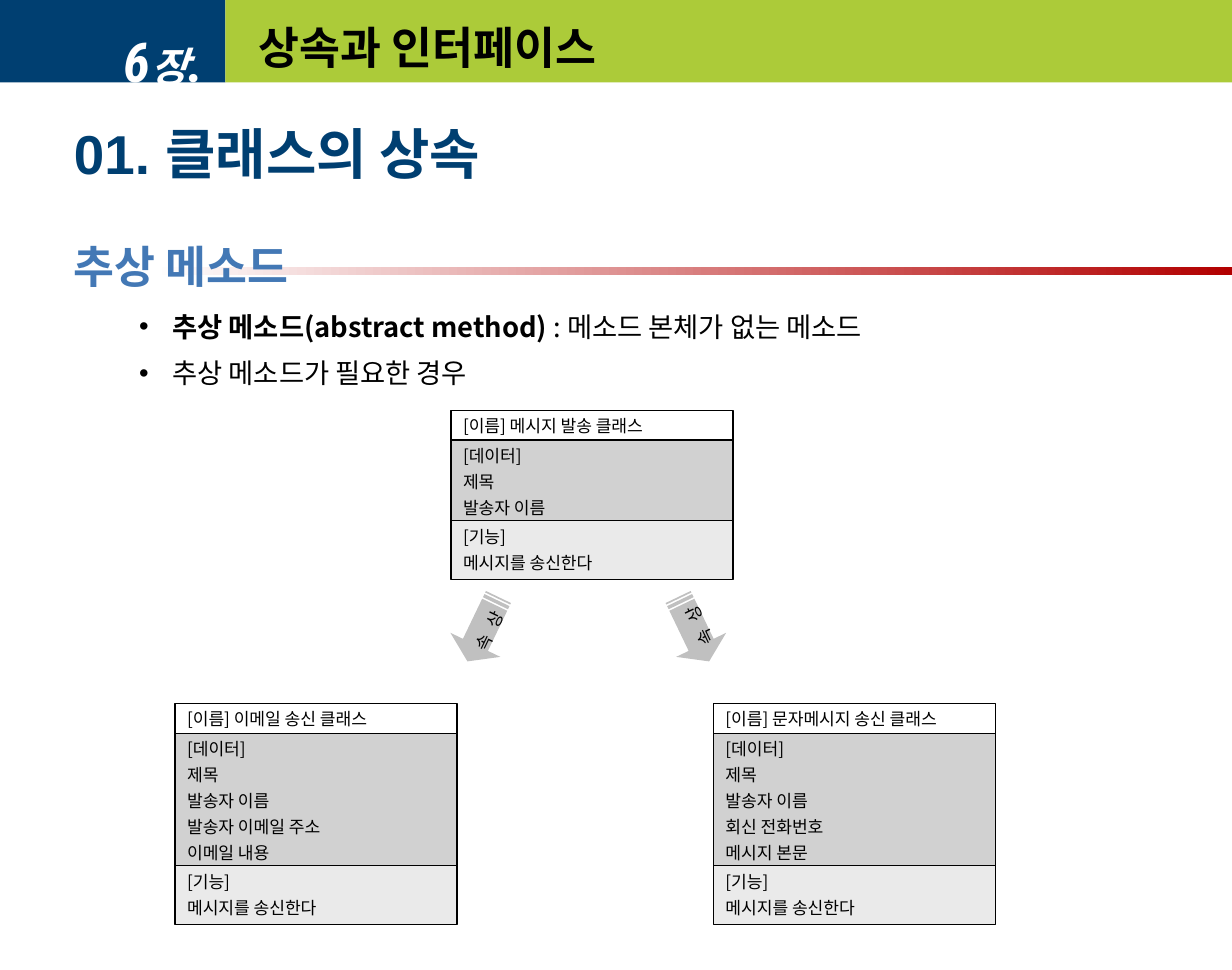
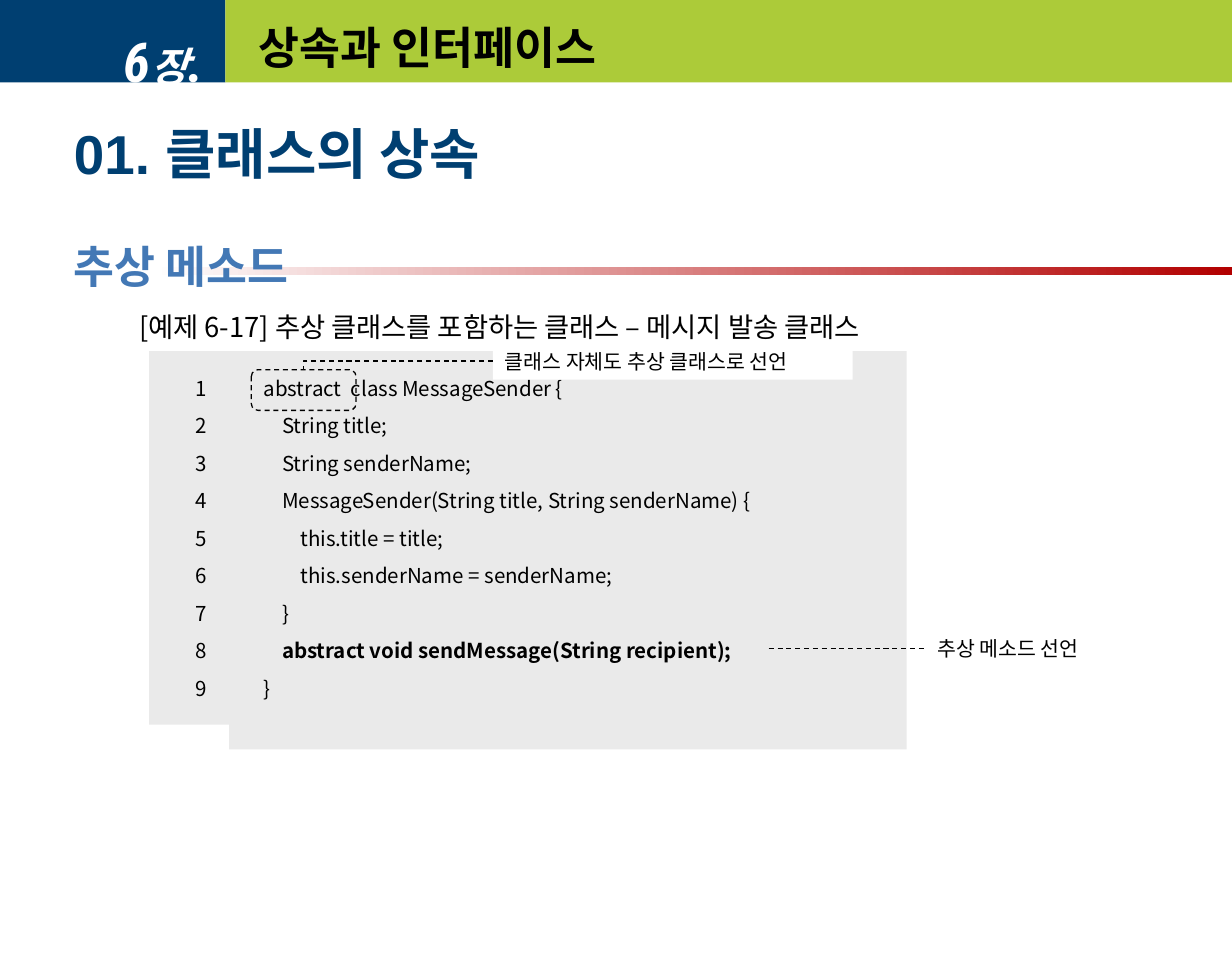
from lxml import etree
from pptx import Presentation
from pptx import util as u
from pptx.dml.color import RGBColor
from pptx.enum import dml, shapes, text
from pptx.oxml import ns

NAVY = RGBColor(0x00, 0x3F, 0x71)
LIME = RGBColor(0xAC, 0xCB, 0x39)
BLUE = RGBColor(0x43, 0x78, 0xB5)
RED = RGBColor(0xB2, 0x00, 0x00)
BLACK = RGBColor(0x00, 0x00, 0x00)
WHITE = RGBColor(0xFF, 0xFF, 0xFF)
PALE = RGBColor(0xEA, 0xEA, 0xEA)
GRAY = RGBColor(0xD1, 0xD1, 0xD1)
ARROW_GRAY = RGBColor(0xC0, 0xC0, 0xC0)
HANGUL = "Noto Sans CJK KR"
ALIGN = text.PP_ALIGN
RECT = shapes.MSO_SHAPE.RECTANGLE


def apply(target, values):
    for name, value in values.items():
        setattr(target, name, value)


class Deck:
    """Holds the chapter style and the slide being built."""

    def __init__(self):
        self.prs = Presentation()
        apply(self.prs, {"slide_width": u.Inches(10), "slide_height": u.Inches(7.87)})
        self.layout = self.prs.slide_layouts[1]
        self.slide = None

    def start(self, chapter, heading, section, topic):
        first = self.slide is None
        self.slide = self.prs.slides.add_slide(self.layout)
        if first:
            self.bands(chapter)
        title = self.slide.shapes.title
        self.place(title, 2, 0.08, 7.83, 0.6)
        self.frame(title, anchor=text.MSO_ANCHOR.MIDDLE)
        self.lines(title, [[(heading, {"size": 26, "bold": True})]])
        self.rule()
        body = self.slide.placeholders[1]
        self.place(body, 0.5, 0.92, 8.99, 5.92)
        self.frame(body)
        self.slide.shapes.element.append(body.element)
        strong = {"size": 32, "bold": True, "color": NAVY}
        self.lines(body, [[("01. ", {**strong, "name": "Arial"}), (section, strong)]], before=8)
        self.lines(body, [[(topic, {"size": 26, "bold": True, "color": BLUE, "name": "Arial Narrow"})]],
                   before=31.2, after=6.5)
        return body

    def bands(self, chapter):
        number = self.box(0, 0.08, 1.75, 0.83)
        self.frame(number, anchor=text.MSO_ANCHOR.MIDDLE)
        style = {"bold": True, "italic": True, "color": WHITE, "name": "Roboto Condensed"}
        self.lines(number, [[(part, {**style, "size": size}) for part, size in chapter]], align=ALIGN.RIGHT)
        parts = [self.box(0, 0, 1.83, 0.67, NAVY), number, self.box(1.83, 0, 8.17, 0.67, LIME)]
        for position, part in enumerate(parts, 2):
            self.layout.shapes.element.insert(position, part.element)

    def rule(self):
        fill = self.box(1.25, 2.17, 8.75, 0.06).fill
        fill.gradient()
        fill.gradient_angle = 180
        for stop, color in zip(fill.gradient_stops, (RED, WHITE)):
            stop.color.rgb = color

    def place(self, shape, left, top, width, height):
        apply(shape, {"left": u.Inches(left), "top": u.Inches(top),
                      "width": u.Inches(width), "height": u.Inches(height)})

    def box(self, left, top, width, height, fill=None, line=None, kind=RECT, parent=None):
        shape = (parent or self.slide).shapes.add_shape(
            kind, *map(u.Inches, (left, top, width, height)))
        shape.shadow.inherit = False
        if fill is None:
            shape.fill.background()
        else:
            shape.fill.solid()
            shape.fill.fore_color.rgb = fill
        if line is None:
            shape.line.fill.background()
        else:
            self.stroke(shape.line, line)
        return shape

    def stroke(self, line, color, dash=None):
        line.color.rgb = color
        apply(line, {"width": u.Pt(0.75), "dash_style": dash})

    def frame(self, shape, anchor=text.MSO_ANCHOR.TOP, insets=(0.1, 0.05, 0.1, 0.05), wrap=True):
        left, top, right, bottom = map(u.Inches, insets)
        apply(shape.text_frame, {
            "auto_size": text.MSO_AUTO_SIZE.NONE, "word_wrap": wrap, "vertical_anchor": anchor,
            "margin_left": left, "margin_top": top, "margin_right": right, "margin_bottom": bottom})

    def lines(self, shape, rows, align=ALIGN.LEFT, before=0, after=0, indent=0, hang=0, bullet=None):
        frame = shape.text_frame
        for pieces in rows:
            paragraph = frame.paragraphs[0]
            if paragraph.runs:
                paragraph = frame.add_paragraph()
            apply(paragraph, {"alignment": align, "space_before": u.Pt(before),
                              "space_after": u.Pt(after), "line_spacing": 1.0})
            props = paragraph._p.get_or_add_pPr()
            props.set("marL", str(u.Inches(indent)))
            props.set("indent", str(u.Inches(hang)))
            mark = etree.SubElement(props, ns.qn("a:buChar" if bullet else "a:buNone"))
            if bullet:
                mark.set("char", bullet)
            for words, style in pieces:
                self.words(paragraph, words, **style)

    def words(self, paragraph, content, color=BLACK, size=16, name=HANGUL, **style):
        piece = paragraph.add_run()
        piece.text = content
        apply(piece.font, {"size": u.Pt(size), "name": name, "bold": False, **style})
        piece.font.color.rgb = color
        etree.SubElement(piece._r.get_or_add_rPr(), ns.qn("a:ea")).set("typeface", HANGUL)

    def class_card(self, left, top, name, data, functions):
        group = self.slide.shapes.add_group_shape()
        data_height, function_height = (0.06 + 0.21 * len(rows) for rows in (data, functions))
        data_top = top + 0.23
        sections = ((data_top, data_height, GRAY, data),
                    (top, 0.24, WHITE, [name]),
                    (data_top + data_height - 0.03, function_height, PALE, functions))
        for section_top, height, fill, rows in sections:
            section = self.box(left, section_top, 2.29, height, fill, BLACK, parent=group)
            self.frame(section, anchor=text.MSO_ANCHOR.MIDDLE)
            self.lines(section, [[(row, {"size": 10})] for row in rows], before=3.1)

    def inherit_arrow(self, left, rotation, flipped):
        arrow = self.box(left, 4.88, 0.58, 0.45, ARROW_GRAY, kind=shapes.MSO_SHAPE.STRIPED_RIGHT_ARROW)
        arrow.adjustments[1] = 0.33
        arrow.rotation = rotation
        self.frame(arrow, text.MSO_ANCHOR.MIDDLE, (0.05, 0.1, 0.05, 0.1), wrap=False)
        self.lines(arrow, [[(syllable, {"size": 10})] for syllable in "상속"], ALIGN.CENTER, before=3.1)
        direction = arrow.text_frame._txBody.bodyPr
        direction.set("vert", "eaVert")
        if flipped:
            arrow.element.spPr.find(ns.qn("a:xfrm")).set("flipH", "1")
        else:
            direction.set("rot", "10800000")

    def code_panel(self, left, width, height, rows, align):
        panel = self.box(left, 2.85, width, height, PALE)
        self.frame(panel, insets=(0.28, 0.2, 0.2, 0.2))
        for depth, words, bold in rows:
            self.lines(panel, [[(words, {"size": 12, "bold": bold})]], align, before=7.5, indent=0.15 * depth)

    def note(self, left, top, width, words):
        note = self.box(left, top, width, 0.3, WHITE)
        self.frame(note)
        self.lines(note, [[(words, {"size": 12})]])
        return note

    def leader(self, kind, start, end):
        leader = self.slide.shapes.add_connector(kind, *map(u.Inches, (*start, *end)))
        self.stroke(leader.line, BLACK, dml.MSO_LINE.DASH)
        etree.SubElement(leader.element.spPr, ns.qn("a:effectLst"))
        return leader


def abstract_method(deck, header):
    body = deck.start(*header)
    points = [[("추상 메소드(abstract method)", {"bold": True}), (" : 메소드 본체가 없는 메소드", {})],
              [("추상 메소드가 필요한 경우", {})]]
    deck.lines(body, points, before=4, after=4, indent=0.8, hang=-0.27, bullet="•")
    common = ["[데이터]", "제목", "발송자 이름"]
    functions = ["[기능]", "메시지를 송신한다"]
    cards = ((1.42, 5.71, "이메일 송신", ["발송자 이메일 주소", "이메일 내용"]),
             (5.79, 5.71, "문자메시지 송신", ["회신 전화번호", "메시지 본문"]),
             (3.66, 3.33, "메시지 발송", []))
    for left, top, name, extra in cards:
        deck.class_card(left, top, f"[이름] {name} 클래스", common + extra, functions)
    deck.inherit_arrow(5.34, 244.3, True)
    deck.inherit_arrow(3.63, 115.7, False)


def abstract_class_code(deck, header):
    body = deck.start(*header)
    deck.lines(body, [[("[예제 6-17] 추상 클래스를 포함하는 클래스 – 메시지 발송 클래스", {})]],
               before=4, after=4, indent=0.64, hang=-0.11)
    code = [(0, "abstract  class MessageSender {", False),
            (1, "String title;", False),
            (1, "String senderName;", False),
            (1, "MessageSender(String title, String senderName) {", False),
            (2, "this.title = title;", False),
            (2, "this.senderName = senderName;", False),
            (1, "}", False),
            (1, "abstract void sendMessage(String recipient);", True),
            (0, "}", False)]
    numbers = [(0, str(number), False) for number in range(1, len(code) + 1)]
    deck.code_panel(1.21, 0.67, 3.03, numbers, ALIGN.RIGHT)
    deck.code_panel(1.86, 5.5, 3.23, code, ALIGN.JUSTIFY)
    method_note = deck.note(7.51, 5.11, 1.92, "추상 메소드 선언")
    method_leader = deck.leader(shapes.MSO_CONNECTOR.STRAIGHT, (6.24, 5.26), (7.51, 5.26))
    method_leader.end_connect(method_note, 1)
    class_note = deck.note(4, 2.78, 2.92, "클래스 자체도 추상 클래스로 선언")
    class_leader = deck.leader(shapes.MSO_CONNECTOR.ELBOW, (4, 2.93), (2.46, 3))
    class_leader.element.spPr.find(ns.qn("a:prstGeom")).set("prst", "bentConnector2")
    keyword = deck.box(2.04, 3, 0.85, 0.33, line=BLACK, kind=shapes.MSO_SHAPE.ROUNDED_RECTANGLE)
    keyword.line.dash_style = dml.MSO_LINE.DASH
    class_leader.begin_connect(class_note, 1)
    class_leader.end_connect(keyword, 0)


def main():
    deck = Deck()
    header = ([("6", 32), ("장", 24), (".", 32)], "상속과 인터페이스", "클래스의 상속", "추상 메소드")
    abstract_method(deck, header)
    abstract_class_code(deck, header)
    deck.prs.save("out.pptx")


if __name__ == "__main__":
    main()
